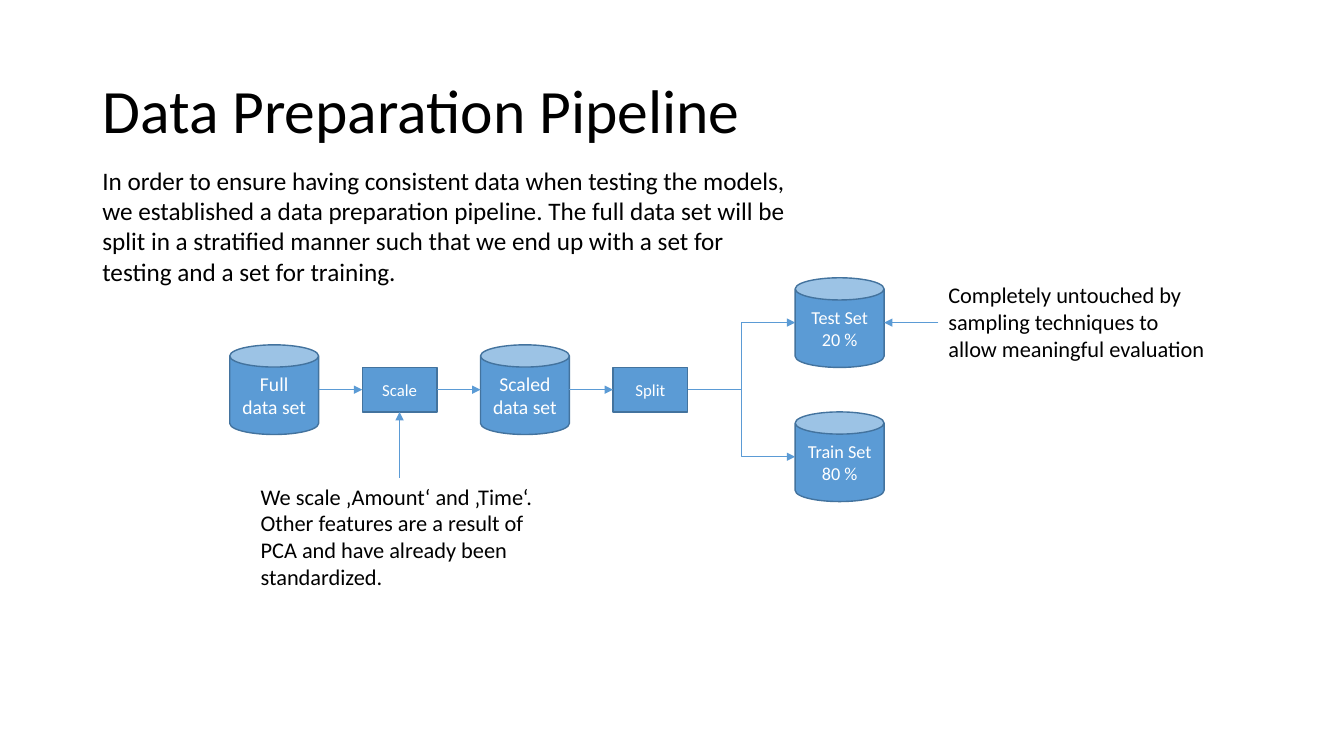
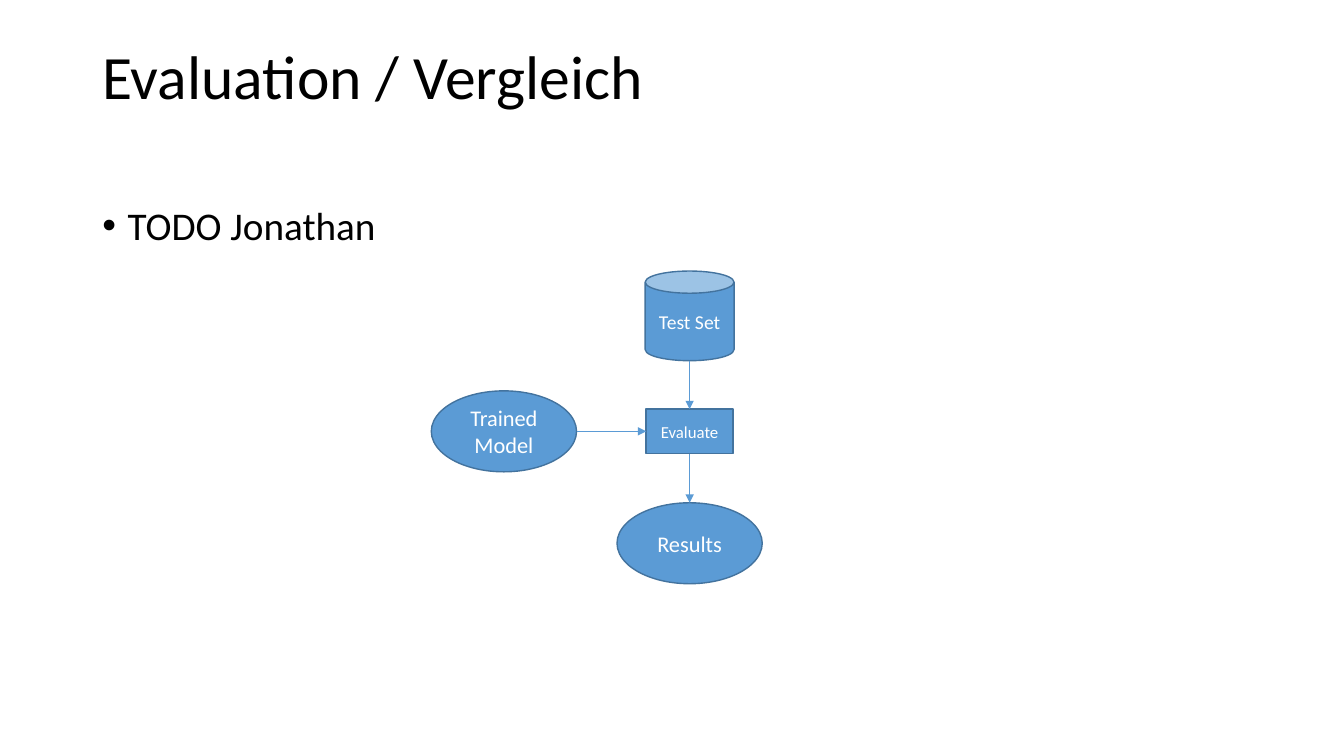
from dataclasses import dataclass

import pptx
import pptx.dml.color
import pptx.enum.shapes
import pptx.enum.text
import pptx.oxml
import pptx.oxml.ns
import pptx.shapes.autoshape
import pptx.slide
import pptx.text.text
import pptx.util

Cm = pptx.util.Cm
Pt = pptx.util.Pt
RGBColor = pptx.dml.color.RGBColor
Kind = pptx.enum.shapes.MSO_SHAPE
Route = pptx.enum.shapes.MSO_CONNECTOR
Anchor = pptx.enum.text.MSO_ANCHOR
Align = pptx.enum.text.PP_ALIGN


@dataclass(frozen=True)
class Theme:
    font: str = "Calibri"
    text: RGBColor = RGBColor(0x00, 0x00, 0x00)
    node_text: RGBColor = RGBColor(0xFF, 0xFF, 0xFF)
    accent: RGBColor = RGBColor(0x5B, 0x9B, 0xD5)
    outline: RGBColor = RGBColor(0x43, 0x73, 0x9E)
    outline_width: float = 1
    arrow_width: float = 0.5
    title_size: int = 44
    body_size: int = 28
    intro_size: int = 18
    note_size: int = 16
    ellipse_size: int = 16
    can_size: int = 14
    outcome_size: int = 13
    step_size: int = 12


THEME = Theme()
MARGIN = 2.33
CONTENT_WIDTH = 29.21
CAN_WIDTH, CAN_HEIGHT = 2.24, 2.26
STEP_WIDTH, STEP_HEIGHT = 1.88, 1.12
ELLIPSE_WIDTH, ELLIPSE_HEIGHT = 3.66, 2.04


@dataclass(frozen=True)
class Point:
    x: float
    y: float


@dataclass(frozen=True)
class Node:
    """A flowchart shape placed by its centre, in centimetres."""
    kind: Kind
    text: str
    x: float
    y: float
    width: float
    height: float
    size: int

    @property
    def left(self) -> Point:
        return Point(self.x - self.width / 2, self.y)

    @property
    def right(self) -> Point:
        return Point(self.x + self.width / 2, self.y)

    @property
    def top(self) -> Point:
        return Point(self.x, self.y - self.height / 2)

    @property
    def bottom(self) -> Point:
        return Point(self.x, self.y + self.height / 2)


@dataclass(frozen=True)
class TextBox:
    text: str
    left: float
    top: float
    width: float
    height: float
    size: int


def can(text: str, x: float, y: float, size: int = THEME.can_size) -> Node:
    return Node(Kind.CAN, text, x, y, CAN_WIDTH, CAN_HEIGHT, size)


def step(text: str, x: float, y: float, width: float = STEP_WIDTH) -> Node:
    return Node(Kind.RECTANGLE, text, x, y, width, STEP_HEIGHT, THEME.step_size)


def ellipse(text: str, x: float, y: float) -> Node:
    return Node(Kind.OVAL, text, x, y, ELLIPSE_WIDTH, ELLIPSE_HEIGHT, THEME.ellipse_size)


def set_text(frame: pptx.text.text.TextFrame, text: str, size: int, color: RGBColor) -> None:
    frame.text = text
    frame.word_wrap = True
    for paragraph in frame.paragraphs:
        for run in paragraph.runs:
            run.font.name = THEME.font
            run.font.size = Pt(size)
            run.font.color.rgb = color


def draw_text(slide: pptx.slide.Slide, box: TextBox) -> pptx.text.text.TextFrame:
    shape = slide.shapes.add_textbox(Cm(box.left), Cm(box.top), Cm(box.width), Cm(box.height))
    set_text(shape.text_frame, box.text, box.size, THEME.text)
    return shape.text_frame


def draw_title(slide: pptx.slide.Slide, text: str, top: float) -> None:
    frame = draw_text(slide, TextBox(text, MARGIN, top, CONTENT_WIDTH, 3.68, THEME.title_size))
    frame.vertical_anchor = Anchor.MIDDLE
    frame.paragraphs[0].line_spacing = 0.9


def draw_bullet(slide: pptx.slide.Slide, text: str) -> None:
    frame = draw_text(slide, TextBox(text, MARGIN, 5.07, CONTENT_WIDTH, 12.09, THEME.body_size))
    paragraph = frame.paragraphs[0]
    paragraph.line_spacing = 0.9
    paragraph.space_before = Pt(10)
    properties = paragraph._p.get_or_add_pPr()
    indent = Cm(0.64)
    properties.set("marL", str(indent))
    properties.set("indent", str(-indent))
    font = pptx.oxml.ns.qn("a:buFont")
    bullet = pptx.oxml.ns.qn("a:buChar")
    properties.append(properties.makeelement(font, {"typeface": "Arial"}))
    properties.append(properties.makeelement(bullet, {"char": "•"}))


def draw_node(slide: pptx.slide.Slide, node: Node) -> None:
    shape = slide.shapes.add_shape(
        node.kind, Cm(node.left.x), Cm(node.top.y), Cm(node.width), Cm(node.height))
    shape.shadow.inherit = False
    shape.fill.solid()
    shape.fill.fore_color.rgb = THEME.accent
    shape.line.color.rgb = THEME.outline
    shape.line.width = Pt(THEME.outline_width)
    set_text(shape.text_frame, node.text, node.size, THEME.node_text)
    shape.text_frame.vertical_anchor = Anchor.MIDDLE
    for paragraph in shape.text_frame.paragraphs:
        paragraph.alignment = Align.CENTER


def draw_arrow(slide: pptx.slide.Slide, start: Point, end: Point,
               route: Route = Route.STRAIGHT) -> None:
    connector = slide.shapes.add_connector(
        route, Cm(start.x), Cm(start.y), Cm(end.x), Cm(end.y))
    connector.line.color.rgb = THEME.accent
    connector.line.width = Pt(THEME.arrow_width)
    properties = connector._element.spPr
    line = properties.find(pptx.oxml.ns.qn("a:ln"))
    line.append(line.makeelement(pptx.oxml.ns.qn("a:tailEnd"), {"type": "triangle"}))
    properties.append(properties.makeelement(pptx.oxml.ns.qn("a:effectLst"), {}))


def build_pipeline_slide(slide: pptx.slide.Slide) -> None:
    draw_title(slide, "Data Preparation Pipeline", 1.01)

    row, first, gap = 9.82, 6.91, 1.1
    pitch = (CAN_WIDTH + STEP_WIDTH) / 2 + gap
    full = can("Full\ndata set", first, row)
    scale = step("Scale", first + pitch, row)
    scaled = can("Scaled\ndata set", first + 2 * pitch, row)
    split = step("Split", first + 3 * pitch, row)
    outcome_x, outcome_offset = 21.16, 1.69
    test = can("Test Set\n20 %", outcome_x, row - outcome_offset, THEME.outcome_size)
    train = can("Train Set\n80 %", outcome_x, row + outcome_offset, THEME.outcome_size)

    flow = (full, scale, scaled, split)
    for node in (*flow, test, train):
        draw_node(slide, node)
    for source, target in zip(flow, flow[1:]):
        draw_arrow(slide, source.right, target.left)
    for outcome in (test, train):
        draw_arrow(slide, split.right, outcome.left, Route.ELBOW)

    test_note = TextBox(
        "Completely untouched by sampling techniques to allow meaningful evaluation",
        23.65, 6.96, 7.01, 2.31, THEME.note_size)
    scale_note = TextBox(
        "We scale ‚Amount‘ and ‚Time‘. Other features are a result of PCA "
        "and have already been standardized.",
        6.32, 12.04, 7.49, 3, THEME.note_size)
    intro = TextBox(
        "In order to ensure having consistent data when testing the models, we established "
        "a data preparation pipeline. The full data set will be split in a stratified manner "
        "such that we end up with a set for testing and a set for training.",
        MARGIN, 4.04, 17.91, 3.33, THEME.intro_size)
    for box in (test_note, scale_note, intro):
        draw_text(slide, box)
    draw_arrow(slide, Point(scale.x, scale_note.top), scale.bottom)
    draw_arrow(slide, Point(test_note.left, test.y), test.right)


def build_evaluation_slide(slide: pptx.slide.Slide) -> None:
    draw_title(slide, "Evaluation / Vergleich", 0.17)
    draw_bullet(slide, "TODO Jonathan")

    column, row = 17.38, 10.87
    model = ellipse("Trained Model", 12.7, row)
    test = can("Test Set", column, 7.96)
    evaluate = step("Evaluate", column, row, 2.19)
    results = ellipse("Results", column, 13.69)
    for node in (model, test, evaluate, results):
        draw_node(slide, node)
    draw_arrow(slide, model.right, evaluate.left)
    draw_arrow(slide, test.bottom, evaluate.top)
    draw_arrow(slide, evaluate.bottom, results.top)


def main() -> None:
    presentation = pptx.Presentation()
    presentation.slide_width = Cm(33.87)
    presentation.slide_height = Cm(19.05)
    blank_layout = presentation.slide_layouts[6]
    for build in (build_pipeline_slide, build_evaluation_slide):
        build(presentation.slides.add_slide(blank_layout))
    presentation.save("out.pptx")


if __name__ == "__main__":
    main()
